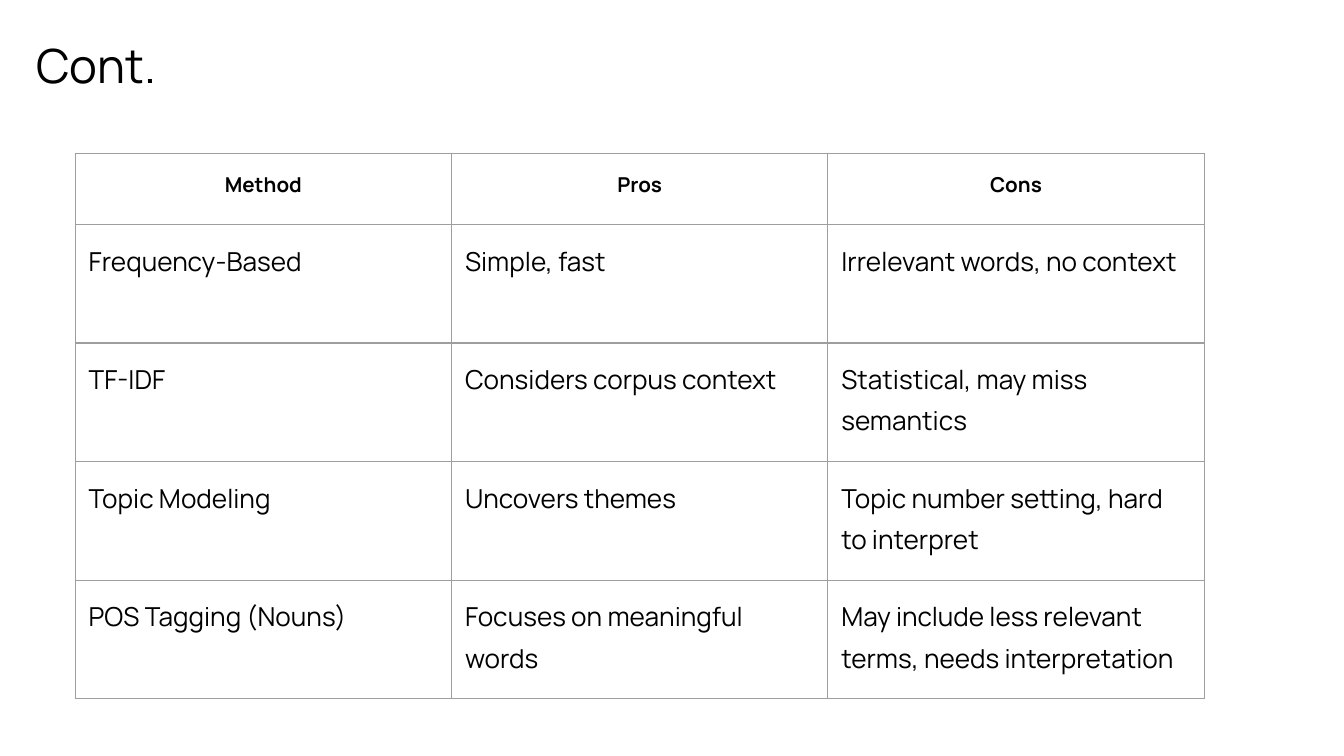
from dataclasses import dataclass

from lxml import etree
from pptx import Presentation
from pptx import util as u
from pptx.dml.color import RGBColor
from pptx.enum import text
from pptx.oxml import ns


@dataclass(frozen=True)
class Theme:
    font: str = "Manrope"
    ink: str = "000000"
    paper: str = "FFFFFF"
    rule: str = "9E9E9E"
    rule_width: float = 0.75
    title_size: float = 25.2
    header_size: float = 11
    body_size: float = 14
    inset: float = 0.1


class SlideBuilder:
    """Adds themed elements to one slide."""

    def __init__(self, deck, theme):
        self.theme = theme
        self.page = deck.slides.add_slide(deck.slide_layouts[5])
        fill = self.page.background.fill
        fill.solid()
        fill.fore_color.rgb = RGBColor.from_string(theme.paper)

    def format_spans(self, para, size, bold=False):
        for span in para.runs:
            span.font.name = self.theme.font
            span.font.size = u.Pt(size)
            span.font.bold = bold
            span.font.color.rgb = RGBColor.from_string(self.theme.ink)

    def set_margins(self, target):
        for side in ("left", "top", "right", "bottom"):
            setattr(target, f"margin_{side}", u.Inches(self.theme.inset))

    def title(self, wording, left, top, width, height):
        box = self.page.shapes.title
        box.left, box.top = u.Inches(left), u.Inches(top)
        box.width, box.height = u.Inches(width), u.Inches(height)
        frame = box.text_frame
        frame.text = wording
        frame.auto_size = text.MSO_AUTO_SIZE.NONE
        frame.vertical_anchor = text.MSO_ANCHOR.MIDDLE
        self.set_margins(frame)
        para = frame.paragraphs[0]
        para.alignment = text.PP_ALIGN.LEFT
        para.line_spacing = 1.0
        para.space_before = u.Pt(0)
        self.format_spans(para, self.theme.title_size)

    def border(self, cell):
        properties = cell._tc.get_or_add_tcPr()
        for position, side in enumerate(("lnL", "lnR", "lnT", "lnB")):
            line = etree.Element(ns.qn(f"a:{side}"), w=str(u.Pt(self.theme.rule_width)))
            fill = etree.SubElement(line, ns.qn("a:solidFill"))
            etree.SubElement(fill, ns.qn("a:srgbClr"), val=self.theme.rule)
            properties.insert(position, line)

    def cell(self, cell, wording, header):
        cell.text_frame.text = wording
        cell.fill.background()
        self.set_margins(cell)
        self.border(cell)
        para = cell.text_frame.paragraphs[0]
        para.alignment = text.PP_ALIGN.CENTER if header else text.PP_ALIGN.LEFT
        para.line_spacing = 1.15
        para.space_before = para.space_after = u.Pt(12)
        size = self.theme.header_size if header else self.theme.body_size
        self.format_spans(para, size, bold=header)

    def table(self, rows, left, top, width, height, header_height):
        columns = len(rows[0])
        row_height = (height - header_height) / (len(rows) - 1)
        table = self.page.shapes.add_table(
            len(rows), columns, u.Inches(left), u.Inches(top),
            u.Inches(width), u.Inches(height),
        ).table
        table.horz_banding = False
        for index, wordings in enumerate(rows):
            header = index == 0
            table.rows[index].height = u.Inches(header_height if header else row_height)
            for column, wording in enumerate(wordings):
                self.cell(table.cell(index, column), wording, header)


METHODS = [
    ("Method", "Pros", "Cons"),
    ("Frequency-Based", "Simple, fast", "Irrelevant words, no context"),
    ("TF-IDF", "Considers corpus context", "Statistical, may miss semantics"),
    ("Topic Modeling", "Uncovers themes", "Topic number setting, hard to interpret"),
    ("POS Tagging (Nouns)", "Focuses on meaningful words",
     "May include less relevant terms, needs interpretation"),
]


def main():
    deck = Presentation()
    deck.slide_width = u.Inches(10)
    deck.slide_height = deck.slide_width * 9 // 16
    builder = SlideBuilder(deck, Theme())
    builder.title("Cont.", 0.17, 0.17, 9.32, 0.63)
    builder.table(METHODS, 0.56, 1.14, width=8.4, height=4.06, header_height=0.53)
    deck.save("out.pptx")


if __name__ == "__main__":
    main()
